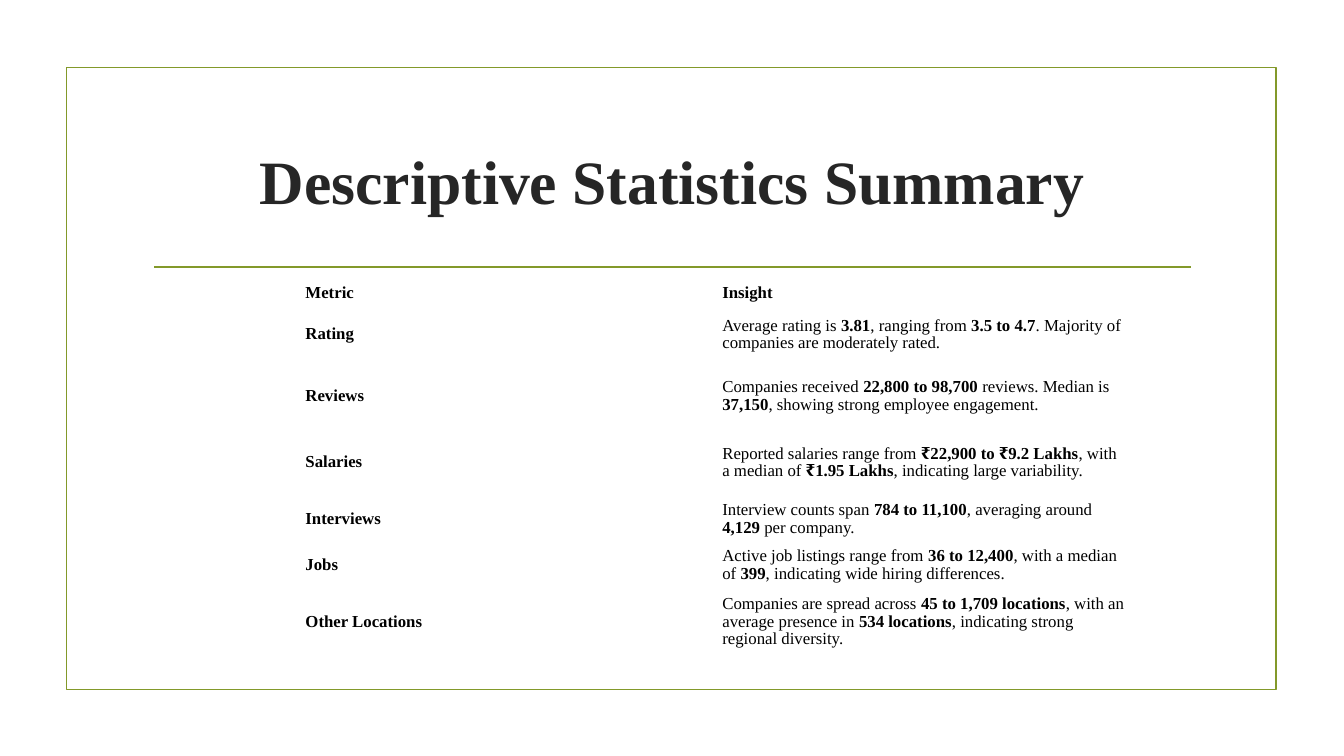
"""Build the descriptive statistics summary slide."""
from dataclasses import dataclass

from lxml import etree
from pptx import Presentation
from pptx.dml.color import RGBColor
from pptx.enum import shapes, text
from pptx.oxml import ns
from pptx.util import Inches, Pt


@dataclass(frozen=True)
class Theme:
    """Colours, type sizes and line weight of the slide."""
    font: str = "Times New Roman"
    accent: RGBColor = RGBColor(0x83, 0x99, 0x2A)
    heading: RGBColor = RGBColor(0x26, 0x26, 0x26)
    body: RGBColor = RGBColor(0, 0, 0)
    heading_size: Pt = Pt(44)
    body_size: Pt = Pt(12)
    rule_width: Pt = Pt(1.25)


THEME = Theme()
ROW_HEIGHTS = (0.26, 0.56, 0.66, 0.66, 0.46, 0.46, 0.66)
METRICS = (
    ("*Metric*", "*Insight*"),
    ("*Rating*", "Average rating is *3.81*, ranging from *3.5 to 4.7*. "
     "Majority of companies are moderately rated."),
    ("*Reviews*", "Companies received *22,800 to 98,700* reviews. "
     "Median is *37,150*, showing strong employee engagement."),
    ("*Salaries*", "Reported salaries range from *₹22,900 to ₹9.2 Lakhs*, "
     "with a median of *₹1.95 Lakhs*, indicating large variability."),
    ("*Interviews*", "Interview counts span *784 to 11,100*, "
     "averaging around *4,129* per company."),
    ("*Jobs*", "Active job listings range from *36 to 12,400*, "
     "with a median of *399*, indicating wide hiring differences."),
    ("*Other Locations*", "Companies are spread across *45 to 1,709 locations*, "
     "with an average presence in *534 locations*, "
     "indicating strong regional diversity."),
)


def apply(target, values):
    """Set each named attribute on the target."""
    for name, value in values.items():
        setattr(target, name, value)


def add_spans(para, marked, size, color):
    """Write text whose starred parts are bold."""
    for index, part in enumerate(marked.split("*")):
        if part:
            span = para.add_run()
            span.text = part
            apply(span.font, {"name": THEME.font, "size": size,
                              "bold": index % 2 == 1})
            span.font.color.rgb = color


def style_line(line):
    """Give a line the accent colour and weight."""
    line.color.rgb = THEME.accent
    line.width = THEME.rule_width


def add_frame(page, left, top, width, height):
    """Draw the unfilled border."""
    box = page.shapes.add_shape(shapes.MSO_SHAPE.RECTANGLE, Inches(left),
                                Inches(top), Inches(width), Inches(height))
    box.shadow.inherit = False
    box.fill.background()
    style_line(box.line)


def add_rule(page, left, right, top):
    """Draw the horizontal rule below the title."""
    rule = page.shapes.add_connector(shapes.MSO_CONNECTOR.STRAIGHT, Inches(left),
                                     Inches(top), Inches(right), Inches(top))
    style_line(rule.line)
    etree.SubElement(rule._element.spPr, ns.qn("a:effectLst"))


def set_title(page, words, left, top, width, height):
    """Place and format the title placeholder."""
    title = page.shapes.title
    apply(title, {"left": Inches(left), "top": Inches(top),
                  "width": Inches(width), "height": Inches(height)})
    apply(title.text_frame, {"vertical_anchor": text.MSO_ANCHOR.MIDDLE,
                             "word_wrap": True})
    para = title.text_frame.paragraphs[0]
    para.alignment = text.PP_ALIGN.CENTER
    add_spans(para, f"*{words}*", THEME.heading_size, THEME.heading)


def fill_cell(cell, marked):
    """Format a cell and write its text."""
    apply(cell, {"margin_left": Inches(0.07), "margin_right": Inches(0.07),
                 "margin_top": Inches(0.03), "margin_bottom": Inches(0.03),
                 "vertical_anchor": text.MSO_ANCHOR.MIDDLE})
    cell.fill.background()
    para = cell.text_frame.paragraphs[0]
    para.line_spacing = 0.95
    add_spans(para, marked, THEME.body_size, THEME.body)


def add_metrics(page, left, top, width):
    """Add the table of metrics and insights."""
    table = page.shapes.add_table(
        len(METRICS), len(METRICS[0]), Inches(left), Inches(top),
        Inches(width), Inches(sum(ROW_HEIGHTS))).table
    apply(table, {"first_row": False, "horz_banding": False})
    for row, height, entries in zip(table.rows, ROW_HEIGHTS, METRICS):
        row.height = Inches(height)
        for cell, marked in zip(row.cells, entries):
            fill_cell(cell, marked)


def main():
    """Build and save the deck."""
    deck = Presentation()
    apply(deck, {"slide_width": Inches(13.33), "slide_height": Inches(7.5)})
    page = deck.slides.add_slide(deck.slide_layouts.get_by_name("Title Only"))
    add_frame(page, 0.66, 0.67, 12, 6.17)
    add_rule(page, 1.53, 11.81, 2.65)
    set_title(page, "Descriptive Statistics Summary", 1.42, 1.07, 10.5, 1.43)
    add_metrics(page, 2.96, 2.78, 8.27)
    deck.save("out.pptx")


if __name__ == "__main__":
    main()
